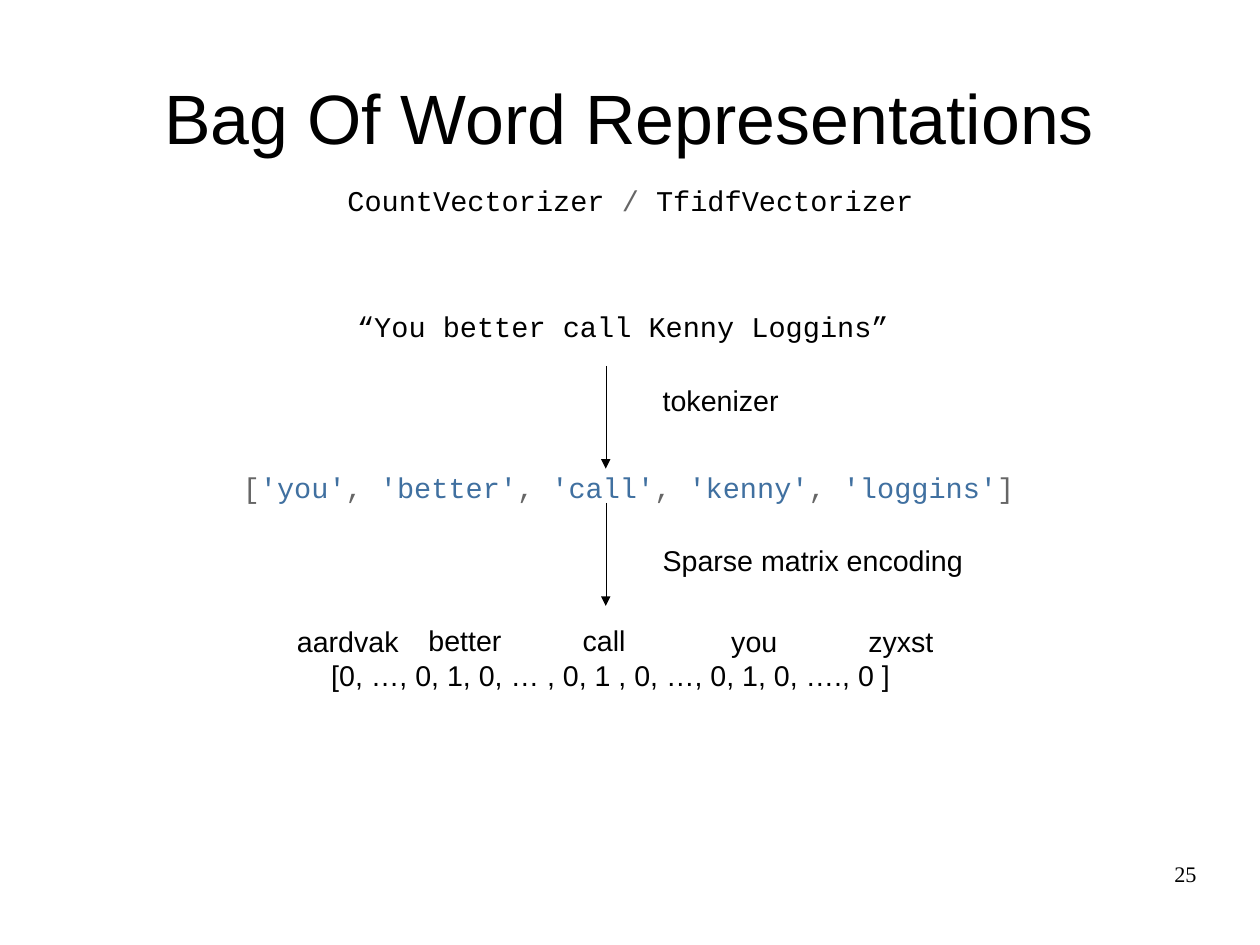
from lxml.etree import SubElement
from pptx import Presentation
from pptx.dml.color import RGBColor
from pptx.enum.shapes import MSO_CONNECTOR
from pptx.enum.text import MSO_ANCHOR, PP_ALIGN
from pptx.oxml.ns import qn
from pptx.util import Pt

# Content
BLACK, GRAY, BLUE = "000000", "666666", "4070A0"
SANS, MONO, SERIF = "Arial", "Courier New", "Times New Roman"
TITLE = "Bag Of Word Representations"
VECTORIZERS = [("CountVectorizer ", BLACK), ("/", GRAY), (" TfidfVectorizer", BLACK)]
SENTENCE = "“You better call Kenny Loggins”"
TOKENS = ["you", "better", "call", "kenny", "loggins"]
ENCODED = "[0, …, 0, 1, 0, … , 0, 1 , 0, …, 0, 1, 0, …., 0 ]"
PAGE_NUMBER = "25"

# Text, left, top, width
LABELS = [
    ("tokenizer", 410.4, 237.6, 122.4),
    ("Sparse matrix encoding", 410.4, 338.4, 223.2),
    ("aardvak", 180, 389.2, 79.2),
    ("better", 262.8, 388.8, 72),
    ("call", 360, 388.8, 57.6),
    ("you", 453.6, 389.2, 100.8),
    ("zyxst", 540, 389.2, 64.8),
    (ENCODED, 201.6, 411.1, 367.2),
]
LABEL_HEIGHT = 27.4
CODE_HEIGHT = 20.9
ARROW_X, ARROW_LENGTH = 381.6, 64.8
ARROW_TOPS = [230.4, 316.8]

presentation = Presentation()
presentation.slide_width, presentation.slide_height = Pt(793.75), Pt(595.25)
slide = presentation.slides.add_slide(presentation.slide_layouts[6])


def color(hex_string):
    return RGBColor.from_string(hex_string)


def add_text(runs, left, top, width, height, font=SANS, size=18,
             align=PP_ALIGN.LEFT, anchor=MSO_ANCHOR.TOP, insets=(0, 0)):
    shape = slide.shapes.add_textbox(Pt(left), Pt(top), Pt(width), Pt(height))
    frame = shape.text_frame
    frame.word_wrap = True
    frame.vertical_anchor = anchor
    frame.margin_left = frame.margin_right = Pt(insets[0])
    frame.margin_top = frame.margin_bottom = Pt(insets[1])
    paragraph = frame.paragraphs[0]
    paragraph.alignment = align
    for text, run_color in runs:
        run = paragraph.add_run()
        run.text = text
        run.font.name = font
        run.font.size = Pt(size)
        run.font.color.rgb = color(run_color)


def add_code(runs, left, top, width):
    add_text(runs, left, top, width, CODE_HEIGHT, MONO, align=PP_ALIGN.CENTER)


def add_down_arrow(top):
    arrow = slide.shapes.add_connector(
        MSO_CONNECTOR.STRAIGHT, Pt(ARROW_X), Pt(top), Pt(ARROW_X), Pt(top + ARROW_LENGTH))
    arrow.line.color.rgb = color(BLACK)
    properties = arrow._element.spPr.find(qn("a:ln"))
    properties.set("w", "0")  # hairline
    SubElement(properties, qn("a:tailEnd"), type="triangle")
    SubElement(arrow._element.spPr, qn("a:effectLst"))


# Title
add_text([(TITLE, BLACK)], 39.6, 23.76, 714.24, 99.36, size=44,
         align=PP_ALIGN.CENTER, anchor=MSO_ANCHOR.MIDDLE)

# Code lines
token_runs = [("[", GRAY)]
for index, token in enumerate(TOKENS):
    if index:
        token_runs.append((", ", GRAY))
    token_runs.append((f"'{token}'", BLUE))
token_runs.append(("]", GRAY))

add_code(VECTORIZERS, 215.1, 115.2, 364)
add_code([(SENTENCE, BLACK)], 223.2, 194.4, 338.4)
add_code(token_runs, 151.2, 295.9, 489.6)

# Arrows between the steps
for arrow_top in ARROW_TOPS:
    add_down_arrow(arrow_top)

# Step names, vocabulary words and encoded row
for label, left, top, width in LABELS:
    add_text([(label, BLACK)], left, top, width, LABEL_HEIGHT, insets=(7.2, 3.6))

# Page number
add_text([(PAGE_NUMBER, BLACK)], 568.8, 542.16, 185.04, 41.04, SERIF, 14, PP_ALIGN.RIGHT)

presentation.save("out.pptx")
